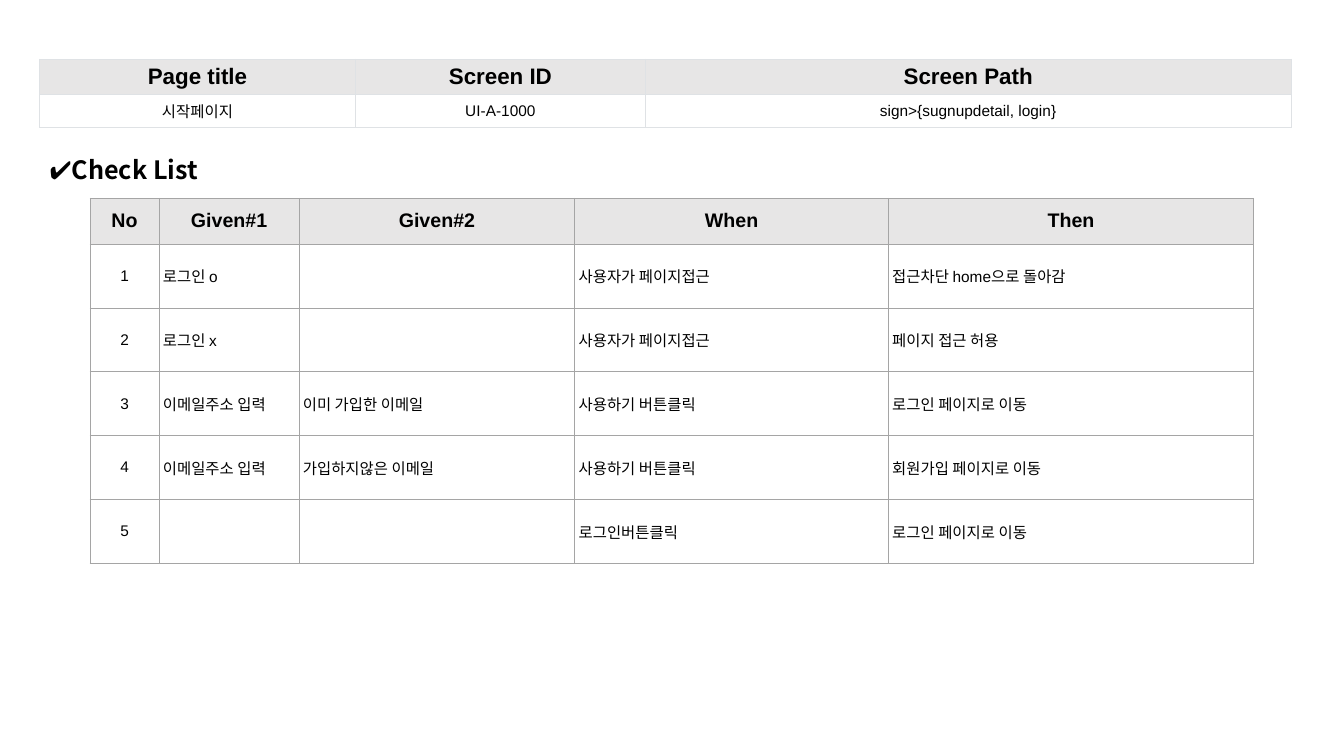
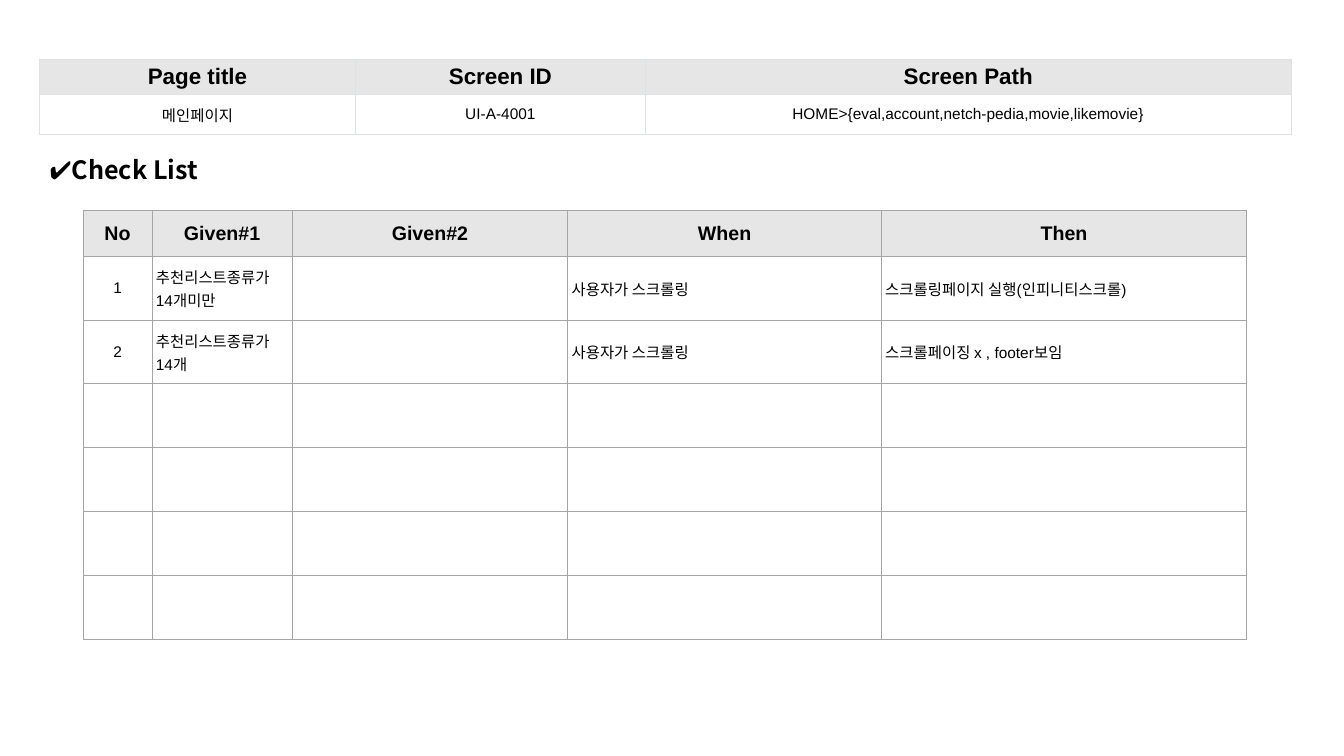
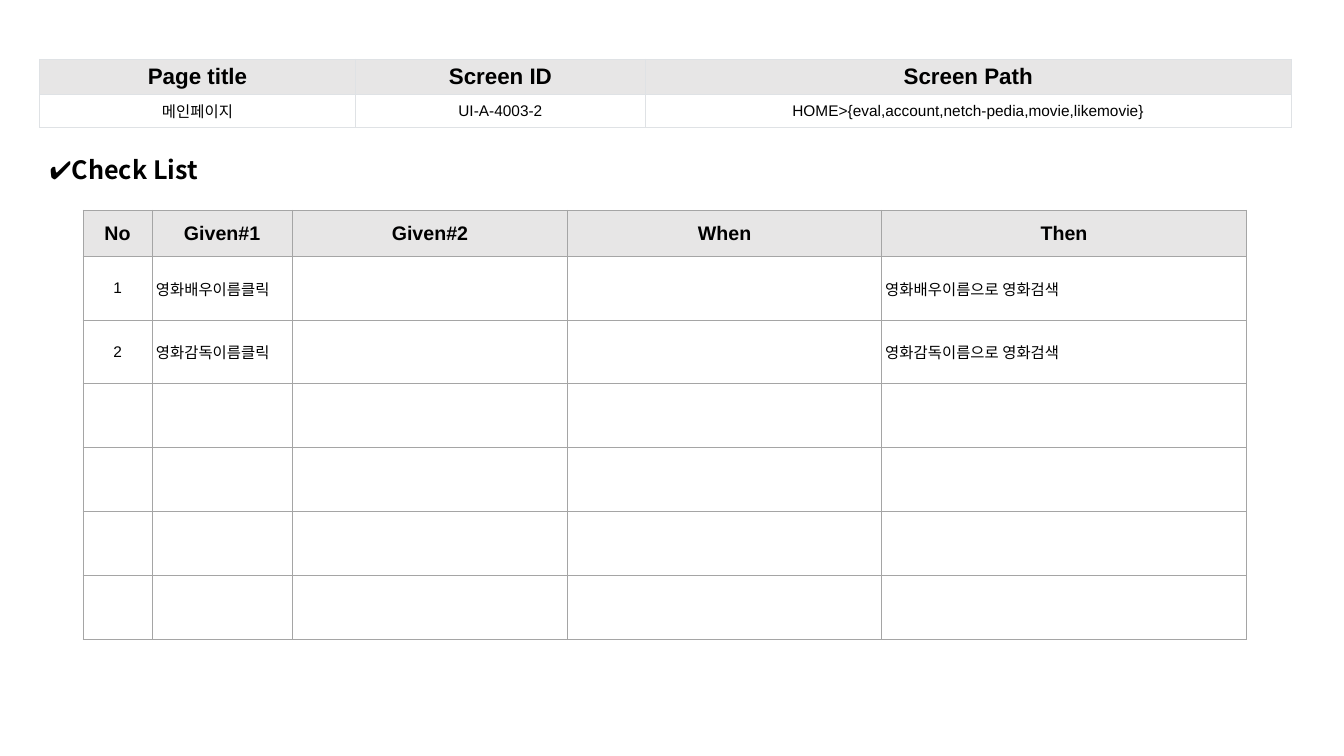
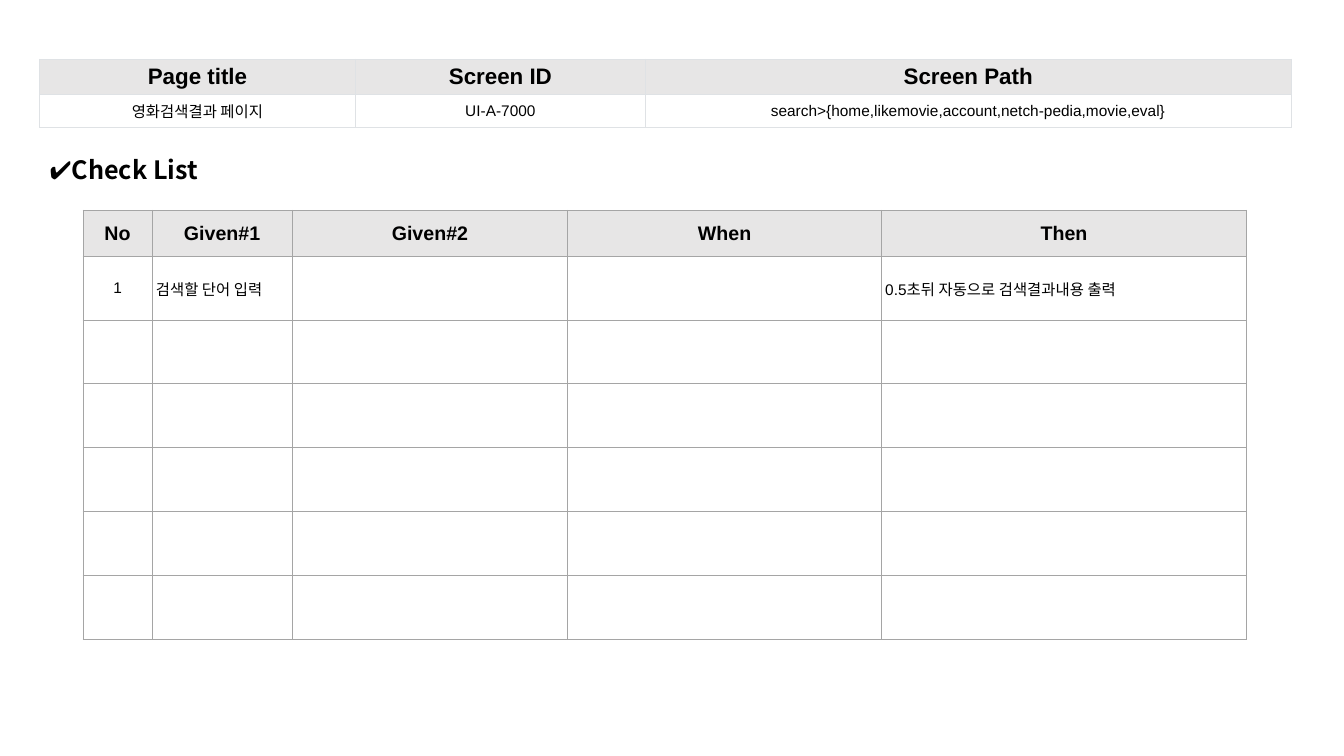
from dataclasses import dataclass

import pptx
import pptx.dml.color
import pptx.enum.text
import pptx.oxml
import pptx.oxml.ns
import pptx.util

Pt = pptx.util.Pt
RGBColor = pptx.dml.color.RGBColor
ALIGN = pptx.enum.text.PP_ALIGN
ANCHOR = pptx.enum.text.MSO_ANCHOR


@dataclass(frozen=True)
class Theme:
    ink: str = "000000"
    head_fill: str = "E7E6E6"
    body_fill: str = "FFFFFF"
    info_border: str = "DFE2E5"
    check_border: str = "A5A5A5"
    border_width: float = 0.75
    table_font: str = "Arial"
    title_font: str = "Noto Sans CJK KR"
    title_size: float = 18
    info_head_size: float = 16
    check_head_size: float = 14
    body_size: float = 11


INFO_HEADS = ["Page title", "Screen ID", "Screen Path"]
INFO_WIDTHS = [225.6, 207.2, 461.1]
INFO_HEAD_HEIGHT = 25.3
CHECK_HEADS = ["No", "Given#1", "Given#2", "When", "Then"]
CHECK_WIDTHS = [49.4, 100, 197, 224, 260.8]
CHECK_HEAD_HEIGHT = 32.8
CHECK_ROW_HEIGHT = 45.6


def set_all(target, values):
    for key, value in values.items():
        setattr(target, key, value)


class CheckListDeck:
    def __init__(self, theme):
        self.theme = theme
        self.deck = pptx.Presentation()
        set_all(self.deck, {"slide_width": Pt(960), "slide_height": Pt(540)})
        self.slide = None

    def new_slide(self):
        self.slide = self.deck.slides.add_slide(self.deck.slide_layouts[5])

    def font(self, font, name, size, bold):
        set_all(font, {"name": name, "size": Pt(size), "bold": bold})
        font.color.rgb = RGBColor.from_string(self.theme.ink)

    def title(self, text):
        heading = self.slide.shapes.title
        set_all(heading, {"left": Pt(28.3), "top": Pt(106.6),
                          "width": Pt(133.2), "height": Pt(28.8)})
        frame = heading.text_frame
        set_all(frame, {"text": text, "word_wrap": True,
                        "vertical_anchor": ANCHOR.TOP,
                        "auto_size": pptx.enum.text.MSO_AUTO_SIZE.NONE})
        line = frame.paragraphs[0]
        line.alignment = ALIGN.LEFT
        self.font(line.font, self.theme.title_font, self.theme.title_size, True)

    def border(self, cell, color):
        properties = cell._tc.get_or_add_tcPr()
        for side in "LRTB":
            properties.append(pptx.oxml.parse_xml(
                f'<a:ln{side} {pptx.oxml.ns.nsdecls("a")} '
                f'w="{Pt(self.theme.border_width)}"><a:solidFill>'
                f'<a:srgbClr val="{color}"/></a:solidFill></a:ln{side}>'))

    def cell(self, cell, text, size, is_head, align, margins, border):
        self.border(cell, border)
        fill = self.theme.head_fill if is_head else self.theme.body_fill
        cell.fill.solid()
        cell.fill.fore_color.rgb = RGBColor.from_string(fill)
        across, down = map(Pt, margins)
        set_all(cell, {"margin_left": across, "margin_right": across,
                       "margin_top": down, "margin_bottom": down,
                       "vertical_anchor": ANCHOR.MIDDLE, "text": text})
        line = cell.text_frame.paragraphs[0]
        line.alignment = align
        self.font(line.font, self.theme.table_font, size, is_head)

    def table(self, left, top, widths, heights, rows, head_size, border,
              head_margins, body_margins, centred):
        """Draw a table; centred holds the columns whose body text is centred."""
        grid = self.slide.shapes.add_table(
            len(rows), len(widths), Pt(left), Pt(top),
            Pt(sum(widths)), Pt(sum(heights))).table
        grid.horz_banding = False
        for column, width in zip(grid.columns, widths):
            column.width = Pt(width)
        for row, height in zip(grid.rows, heights):
            row.height = Pt(height)
        for r, texts in enumerate(rows):
            is_head = r == 0
            for c, text in enumerate(texts):
                self.cell(grid.cell(r, c), text,
                          head_size if is_head else self.theme.body_size,
                          is_head,
                          ALIGN.CENTER if is_head or c in centred else ALIGN.LEFT,
                          head_margins if is_head else body_margins, border)

    def info_table(self, info, row_height):
        self.table(28.3, 42.3, INFO_WIDTHS, [INFO_HEAD_HEIGHT, row_height],
                   [INFO_HEADS, info], self.theme.info_head_size,
                   self.theme.info_border, (7.9, 3.6), (7.9, 3.6), {0, 1, 2})

    def check_table(self, left, top, checks, row_count):
        numbered = [[str(n), *check] for n, check in enumerate(checks, 1)]
        unused = [[""] * len(CHECK_HEADS)] * (row_count - len(checks))
        self.table(left, top, CHECK_WIDTHS,
                   [CHECK_HEAD_HEIGHT] + [CHECK_ROW_HEIGHT] * row_count,
                   [CHECK_HEADS, *numbered, *unused],
                   self.theme.check_head_size, self.theme.check_border,
                   (2.7, 1.4), (2.7, 0.9), {0})


@dataclass
class Screen:
    info: list
    checks: list
    info_height: float = 23.6
    left: float = 59.3
    top: float = 150.3
    row_count: int = 6


SCREENS = [
    Screen(
        ["시작페이지", "UI-A-1000", "sign>{sugnupdetail, login}"],
        [["로그인 o", "", "사용자가 페이지접근", "접근차단 home으로 돌아감"],
         ["로그인 x", "", "사용자가 페이지접근", "페이지 접근 허용"],
         ["이메일주소 입력", "이미 가입한 이메일", "사용하기 버튼클릭",
          "로그인 페이지로 이동"],
         ["이메일주소 입력", "가입하지않은 이메일", "사용하기 버튼클릭",
          "회원가입 페이지로 이동"],
         ["", "", "로그인버튼클릭", "로그인 페이지로 이동"]],
        left=64.3, top=141.6, row_count=5),
    Screen(
        ["메인페이지", "UI-A-4001",
         "HOME>{eval,account,netch-pedia,movie,likemovie}"],
        [["추천리스트종류가 14개미만", "", "사용자가 스크롤링",
          "스크롤링페이지 실행(인피니티스크롤)"],
         ["추천리스트종류가 14개", "", "사용자가 스크롤링",
          "스크롤페이징 x , footer보임"]],
        info_height=28.6),
    Screen(
        ["메인페이지", "UI-A-4003-2",
         "HOME>{eval,account,netch-pedia,movie,likemovie}"],
        [["영화배우이름클릭", "", "", "영화배우이름으로 영화검색"],
         ["영화감독이름클릭", "", "", "영화감독이름으로 영화검색"]]),
    Screen(
        ["영화검색결과 페이지", "UI-A-7000",
         "search>{home,likemovie,account,netch-pedia,movie,eval}"],
        [["검색할 단어 입력", "", "", "0.5초뒤 자동으로 검색결과내용 출력"]]),
]


def main():
    builder = CheckListDeck(Theme())
    for screen in SCREENS:
        builder.new_slide()
        builder.check_table(screen.left, screen.top, screen.checks,
                            screen.row_count)
        builder.title("✔Check List")
        builder.info_table(screen.info, screen.info_height)
    builder.deck.save("out.pptx")


if __name__ == "__main__":
    main()
